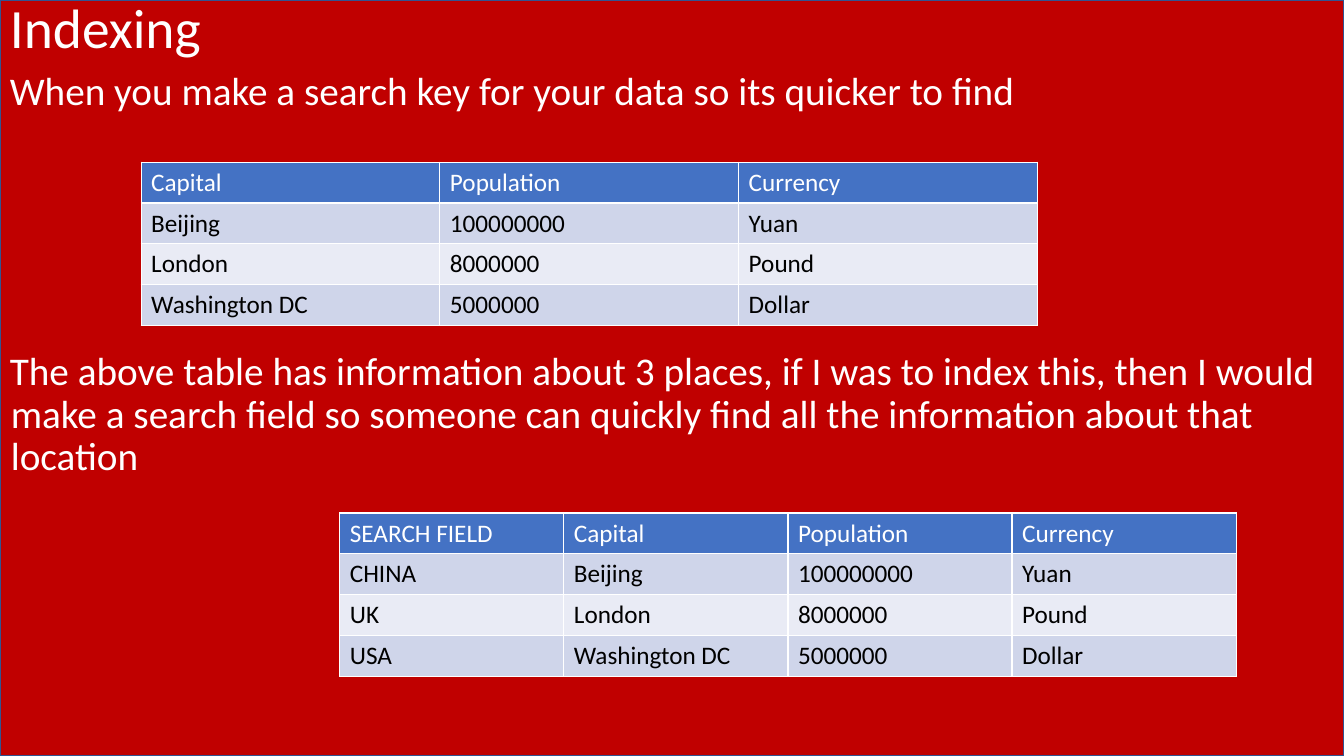
from pptx import Presentation
from pptx.dml.color import RGBColor
from pptx.enum.shapes import MSO_SHAPE
from pptx.enum.text import MSO_ANCHOR
from pptx.oxml import parse_xml
from pptx.oxml.ns import nsdecls
from pptx.util import Inches, Pt

RED = RGBColor(0xC0, 0x00, 0x00)
NAVY = RGBColor(0x32, 0x54, 0x91)
WHITE = RGBColor(0xFF, 0xFF, 0xFF)
BLACK = RGBColor(0x00, 0x00, 0x00)
HEADER_BLUE = RGBColor(0x44, 0x72, 0xC4)
BAND_DARK = RGBColor(0xCF, 0xD5, 0xEA)
BAND_LIGHT = RGBColor(0xE9, 0xEB, 0xF5)

SLIDE_WIDTH = 13.33
SLIDE_HEIGHT = 7.5
TABLE_WIDTH = 8.89
TABLE_HEIGHT = 1.62


class SlideBuilder:
    font = "Calibri"

    def __init__(self, slide):
        self.slide = slide

    def add_run(self, paragraph, text, size, color):
        run = paragraph.add_run()
        run.text = text
        run.font.name = self.font
        run.font.size = Pt(size)
        run.font.bold = False
        run.font.color.rgb = color

    def backdrop(self, fill, line):
        shape = self.slide.shapes.add_shape(
            MSO_SHAPE.RECTANGLE, 0, 0, Inches(SLIDE_WIDTH), Inches(SLIDE_HEIGHT))
        shape.shadow.inherit = False
        shape.fill.solid()
        shape.fill.fore_color.rgb = fill
        shape.line.color.rgb = line
        shape.line.width = Pt(1)

    def text(self, top, height, paragraphs, size, anchor=MSO_ANCHOR.TOP, gap=0):
        box = self.slide.shapes.add_textbox(
            0, Inches(top), Inches(SLIDE_WIDTH), Inches(height))
        frame = box.text_frame
        frame.word_wrap = True
        frame.vertical_anchor = anchor
        for index, content in enumerate(paragraphs):
            paragraph = frame.add_paragraph() if index else frame.paragraphs[0]
            paragraph.line_spacing = 0.9
            paragraph.space_before = Pt(gap if index else 0)
            properties = paragraph._p.get_or_add_pPr()
            properties.set("marL", str(Inches(0.01)))
            properties.set("indent", str(-Inches(0.01)))
            self.add_run(paragraph, content, size, WHITE)

    def cell_borders(self, cell, color, width):
        properties = cell._tc.get_or_add_tcPr()
        for position, side in enumerate(("lnL", "lnR", "lnT", "lnB")):
            properties.insert(position, parse_xml(
                f'<a:{side} {nsdecls("a")} w="{Pt(width)}"><a:solidFill>'
                f'<a:srgbClr val="{color}"/></a:solidFill></a:{side}>'))

    def table(self, left, top, rows):
        columns = len(rows[0])
        table = self.slide.shapes.add_table(
            len(rows), columns, Inches(left), Inches(top),
            Inches(TABLE_WIDTH), Inches(TABLE_HEIGHT)).table
        for row_index, values in enumerate(rows):
            if row_index == 0:
                fill, color = HEADER_BLUE, WHITE
            else:
                fill, color = (BAND_DARK if row_index % 2 else BAND_LIGHT), BLACK
            for column_index, value in enumerate(values):
                cell = table.cell(row_index, column_index)
                cell.fill.solid()
                cell.fill.fore_color.rgb = fill
                self.cell_borders(cell, WHITE, 1)
                self.add_run(cell.text_frame.paragraphs[0], value, 18, color)


presentation = Presentation()
presentation.slide_width = Inches(SLIDE_WIDTH)
presentation.slide_height = Inches(SLIDE_HEIGHT)
builder = SlideBuilder(presentation.slides.add_slide(presentation.slide_layouts[6]))

capitals = [
    ("Capital", "Population", "Currency"),
    ("Beijing", "100000000", "Yuan"),
    ("London", "8000000", "Pound"),
    ("Washington DC", "5000000", "Dollar"),
]
search_keys = ["SEARCH FIELD", "CHINA", "UK", "USA"]
indexed_capitals = [(key, *row) for key, row in zip(search_keys, capitals)]

explanation = [
    "When you make a search key for your data so its quicker to find",
    "The above table has information about 3 places, if I was to index this, "
    "then I would make a search field so someone can quickly find all the "
    "information about that location",
]

builder.backdrop(RED, NAVY)
builder.text(0, 0.61, ["Indexing"], 39.6, MSO_ANCHOR.MIDDLE)
builder.text(0.66, 6.84, explanation, 28, gap=170)
builder.table(1.4, 1.61, capitals)
builder.table(3.37, 5.09, indexed_capitals)

presentation.save("out.pptx")
